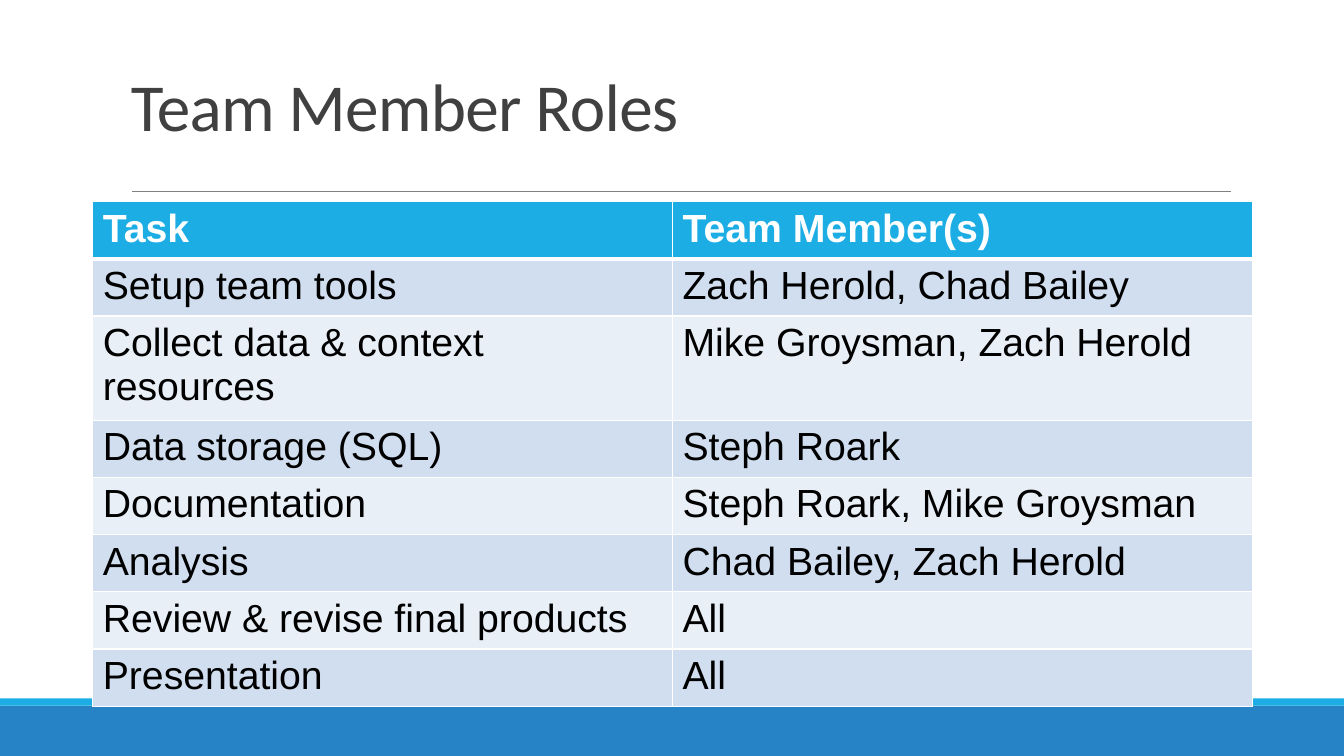
from lxml.etree import SubElement
from pptx import Presentation
from pptx.dml.color import RGBColor
from pptx.enum.shapes import MSO_CONNECTOR, MSO_SHAPE
from pptx.enum.text import MSO_ANCHOR
from pptx.oxml import parse_xml
from pptx.oxml.ns import nsdecls, qn
from pptx.util import Inches, Pt

WIDTH, HEIGHT = 13.33, 7.5
CYAN, BLUE, WHITE, BLACK = "1CADE4", "2683C6", "FFFFFF", "000000"
BANDS = ["D0DEEF", "E9EFF7"]
ROLES = [
    ("Task", "Team Member(s)"),
    ("Setup team tools", "Zach Herold, Chad Bailey"),
    ("Collect data & context resources", "Mike Groysman, Zach Herold"),
    ("Data storage (SQL)", "Steph Roark"),
    ("Documentation", "Steph Roark, Mike Groysman"),
    ("Analysis", "Chad Bailey, Zach Herold"),
    ("Review & revise final products", "All"),
    ("Presentation", "All"),
]


def color(hex_code):
    return RGBColor.from_string(hex_code)


def write(frame, text, font="Arial", size=28, ink=BLACK, bold=False, leading=1.0, tracking=0):
    """Put one formatted run into a text frame; tracking is in points."""
    para = frame.paragraphs[0]
    para.line_spacing = leading
    span = para.add_run()
    span.text = text
    span.font.name, span.font.size, span.font.bold = font, Pt(size), bold
    span.font.color.rgb = color(ink)
    if tracking:
        span.font._element.set("spc", str(round(tracking * 100)))


deck = Presentation()
deck.slide_width, deck.slide_height = Inches(WIDTH), Inches(HEIGHT)
page = deck.slides.add_slide(deck.slide_layouts[6])
page.background.fill.solid()
page.background.fill.fore_color.rgb = color(WHITE)

# Footer bands
for top, height, fill in [(7, 0.5, BLUE), (6.93, 0.07, CYAN)]:
    band = page.shapes.add_shape(
        MSO_SHAPE.RECTANGLE, 0, Inches(top), deck.slide_width, Inches(height))
    band.shadow.inherit = False
    band.fill.solid()
    band.fill.fore_color.rgb = color(fill)
    band.line.fill.background()

# Title and the rule below it
rule = page.shapes.add_connector(
    MSO_CONNECTOR.STRAIGHT, Inches(1.31), Inches(1.9), Inches(12.21), Inches(1.9))
rule.line.color.rgb = color("808080")
rule.line.width = Pt(0.5)
SubElement(rule._element.spPr, qn("a:effectLst"))

title = page.shapes.add_textbox(Inches(1.2), Inches(0.31), Inches(11), Inches(1.59))
title.text_frame.word_wrap = True
title.text_frame.vertical_anchor = MSO_ANCHOR.MIDDLE
write(title.text_frame, "Team Member Roles", font="Calibri", size=48, ink="404040",
      leading=0.85, tracking=-0.5)

# Roles table
row_height = 0.41
table = page.shapes.add_table(
    len(ROLES), 2, Inches(0.92), Inches(2), Inches(11.5), Inches(row_height * len(ROLES))).table
for row_index, role in enumerate(ROLES):
    header = row_index == 0
    table.rows[row_index].height = Inches(row_height)
    borders = {"lnL": 1, "lnR": 1, "lnT": 3 if row_index == 1 else 1, "lnB": 3 if header else 1}
    for column_index, text in enumerate(role):
        cell = table.cell(row_index, column_index)
        cell.fill.solid()
        cell.fill.fore_color.rgb = color(CYAN if header else BANDS[(row_index - 1) % 2])
        write(cell.text_frame, text, ink=WHITE if header else BLACK, bold=header)
        properties = cell._tc.get_or_add_tcPr()
        for position, (side, points) in enumerate(borders.items()):
            properties.insert(position, parse_xml(
                f'<a:{side} {nsdecls("a")} w="{Pt(points)}"><a:solidFill>'
                f'<a:srgbClr val="{WHITE}"/></a:solidFill></a:{side}>'))

deck.save("out.pptx")
